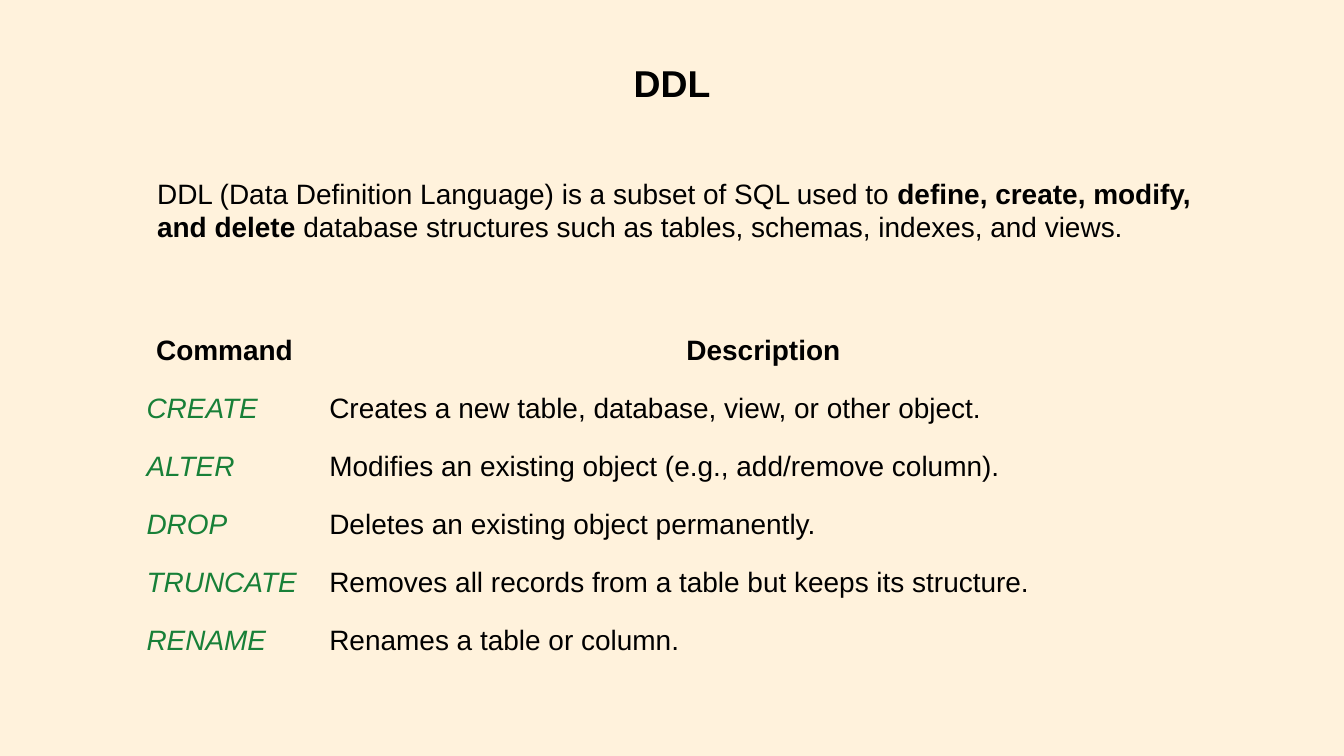
from lxml import etree
from pptx import Presentation
from pptx.dml.color import RGBColor
from pptx.enum.text import MSO_ANCHOR, PP_ALIGN
from pptx.oxml.ns import qn
from pptx.util import Inches, Pt

CENTER, LEFT = PP_ALIGN.CENTER, PP_ALIGN.LEFT
TOP = MSO_ANCHOR.TOP

CREAM = RGBColor(0xFF, 0xF2, 0xDC)
BLACK = RGBColor(0x00, 0x00, 0x00)
GREEN = RGBColor(0x18, 0x80, 0x38)

WIDTH = 10
HEIGHT = WIDTH * 9 / 16
TITLE_ONLY = 5
BORDERS = ("a:lnL", "a:lnR", "a:lnT", "a:lnB")

INTRODUCTION = [
    ("DDL (Data Definition Language) is a subset of SQL used to ", False),
    ("define, create, modify, and delete", True),
    (" database structures such as tables, schemas, indexes, and views.", False),
]
HEADINGS = ("Command", "Description")
COMMANDS = [
    ("CREATE", "Creates a new table, database, view, or other object."),
    ("ALTER", "Modifies an existing object (e.g., add/remove column)."),
    ("DROP", "Deletes an existing object permanently."),
    ("TRUNCATE", "Removes all records from a table but keeps its structure."),
    ("RENAME", "Renames a table or column."),
]


class SlideBuilder:
    """Holds the style and the current slide; lengths are shares of its size."""

    font = "Arial"
    title_size = Pt(20)
    body_size = Pt(15)
    inset = Inches(0.1)
    line_spacing = 1.15

    def __init__(self, presentation):
        self.presentation = presentation
        layout = presentation.slide_layouts[TITLE_ONLY]
        self.slide = presentation.slides.add_slide(layout)
        fill = self.slide.background.fill
        fill.solid()
        fill.fore_color.rgb = CREAM

    def across(self, share):
        return round(share * self.presentation.slide_width)

    def down(self, share):
        return round(share * self.presentation.slide_height)

    def box(self, left, top, width, height):
        return self.across(left), self.down(top), self.across(width), self.down(height)

    def set_insets(self, holder):
        """Set equal margins on a text frame or a table cell."""
        holder.margin_left = holder.margin_right = self.inset
        holder.margin_top = holder.margin_bottom = self.inset
        holder.vertical_anchor = TOP

    def run(self, paragraph, text, size=None, color=BLACK, bold=False, italic=False):
        run = paragraph.add_run()
        run.text = text
        font = run.font
        font.name, font.size = self.font, size or self.body_size
        font.bold, font.italic = bold, italic
        font.color.rgb = color

    def title(self, text, *place):
        shape = self.slide.shapes.title
        shape.left, shape.top, shape.width, shape.height = self.box(*place)
        frame = shape.text_frame
        frame.word_wrap = False
        self.set_insets(frame)
        paragraph = frame.paragraphs[0]
        paragraph.alignment = CENTER
        paragraph.line_spacing = self.line_spacing
        paragraph.space_before, paragraph.space_after = Pt(18), Pt(4)
        self.run(paragraph, text, size=self.title_size, bold=True)

    def text(self, pieces, *place):
        frame = self.slide.shapes.add_textbox(*self.box(*place)).text_frame
        frame.word_wrap = True
        self.set_insets(frame)
        for piece, bold in pieces:
            self.run(frame.paragraphs[0], piece, bold=bold)

    def cell(self, cell, text, alignment=LEFT, line_spacing=None, **style):
        self.set_insets(cell)
        cell.fill.background()
        properties = cell._tc.get_or_add_tcPr()
        for position, name in enumerate(BORDERS):
            border = etree.Element(qn(name))
            etree.SubElement(border, qn("a:noFill"))
            properties.insert(position, border)
        paragraph = cell.text_frame.paragraphs[0]
        paragraph.alignment = alignment
        paragraph.line_spacing = line_spacing
        self.run(paragraph, text, **style)

    def table(self, headings, rows, left, top, column_widths, row_height):
        """Add a table whose rows grow from row_height to fit their text."""
        row_count = len(rows) + 1
        place = self.box(left, top, sum(column_widths), row_height * row_count)
        table = self.slide.shapes.add_table(row_count, len(headings), *place).table
        table.horz_banding = False
        for column, width in zip(table.columns, column_widths):
            column.width = self.across(width)
        for row in table.rows:
            row.height = self.down(row_height)
        for column, heading in enumerate(headings):
            self.cell(table.cell(0, column), heading, alignment=CENTER,
                      line_spacing=self.line_spacing, bold=True)
        for row, (command, description) in enumerate(rows, start=1):
            self.cell(table.cell(row, 0), command, color=GREEN, italic=True)
            self.cell(table.cell(row, 1), description)


def main():
    presentation = Presentation()
    presentation.slide_width = Inches(WIDTH)
    presentation.slide_height = Inches(HEIGHT)
    builder = SlideBuilder(presentation)
    builder.title("DDL", 0.461, 0.3 / HEIGHT, 0.078, 0.54 / HEIGHT)
    builder.table(HEADINGS, COMMANDS, 0.099, 2.36 / HEIGHT,
                  (0.136, 0.666), 0.22 / HEIGHT)
    builder.text(INTRODUCTION, 0.107, 1.21 / HEIGHT, 0.802, 0.71 / HEIGHT)
    presentation.save("out.pptx")


if __name__ == "__main__":
    main()
